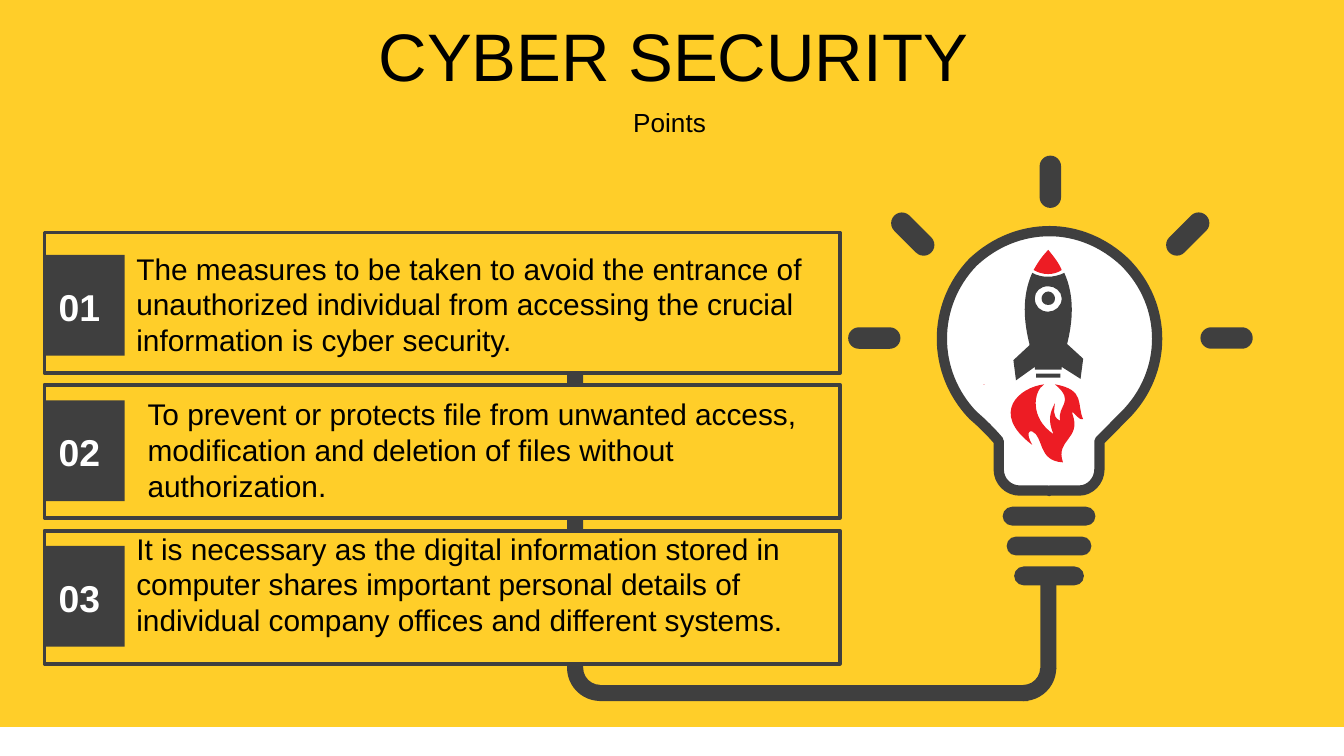
import math
from dataclasses import dataclass

import lxml.etree
import pptx
import pptx.dml.color
import pptx.enum.shapes
import pptx.enum.text
import pptx.oxml.ns
import pptx.util

Pt = pptx.util.Pt
qn = pptx.oxml.ns.qn
Shape = pptx.enum.shapes.MSO_SHAPE
Align = pptx.enum.text.PP_ALIGN
Anchor = pptx.enum.text.MSO_ANCHOR
AutoSize = pptx.enum.text.MSO_AUTO_SIZE

YELLOW, DARK, WHITE, RED, BLACK = "FFCE29", "3F3F3F", "FFFFFF", "ED1C24", "000000"
PATH_TAGS = {"M": "a:moveTo", "L": "a:lnTo", "C": "a:cubicBezTo", "Z": "a:close"}


@dataclass
class Card:
    number: str
    top: float
    height: float
    text_left: float
    text_top: float
    text: str


@dataclass
class Ray:
    center_x: float
    center_y: float
    rotation: float


@dataclass
class Outline:
    """Path on the page in points: M move, L line, C cubic curve, Z close."""
    left: float
    top: float
    width: float
    height: float
    fill: str
    commands: str
    rotation: float = 0
    line: str | None = None


BULB = Outline(499, 126, 126, 126, WHITE, """M 562.3 123.8
C 576.7 123.8 591.1 129.6 602.6 140.4 C 625.7 163.4 625.7 199.4 602.6 222.5
L 589 236.2 L 589 251.3 C 589 257.8 583.9 262.8 578.2 262.8 L 562.3 262.8
L 562 263.1 L 561.6 262.8 L 546.5 262.8
C 540 262.8 535 257.8 535 251.3 L 535 236.2 C 530.6 231.1 526.3 226.8 521.3 222.5
C 499 199.4 499 163.4 521.3 140.4 C 532.8 129.6 547.2 123.8 562.3 123.8 Z""", 135, DARK)
ROCKET = Outline(542.9, 146.2, 37.4, 57.6, DARK, """M 555.1 200.2 L 568.1 200.2
C 568.1 200.9 568.1 201.6 568.1 202.3 L 555.1 202.3 Z
M 561.6 156.2 C 563.8 156.2 565.2 158.4 565.2 159.8 C 565.2 162 563.8 163.4 561.6 163.4
C 559.4 163.4 558 162 558 159.8 C 558 158.4 559.4 156.2 561.6 156.2 Z
M 561.6 153.4 C 557.3 153.4 554.4 156.2 554.4 159.8 C 554.4 164.2 557.3 167 561.6 167
C 565.2 167 568.8 164.2 568.8 159.8 C 568.8 156.2 565.2 153.4 561.6 153.4 Z
M 553 146.2 C 558 149 564.5 149 570.2 146.2 C 576 159.1 574.6 172.8 571.7 184.3
L 580.3 192.2 L 578.9 203 L 568.8 196.6 L 568.8 198 L 554.4 198
C 554.4 197.3 554.4 197.3 554.4 196.6 L 544.3 203.8 L 542.9 193 L 551.5 185
L 551.5 184.3 C 548.6 172.8 547.2 159.1 553 146.2 Z""")
NOSE = Outline(553.7, 133.9, 15.1, 12.2, RED, """M 561.6 133.9
C 564.5 137.5 567.4 141.1 568.8 144.7 C 564.5 147.6 558.7 147.6 553.7 144.7
C 555.8 141.1 558 137.5 561.6 133.9 Z""")
FLAME = Outline(527, 205.9, 53.3, 41.8, RED, """M 559.4 205.9
C 553.7 209.5 551.5 223.9 564.5 232.6
C 560.9 224.6 563 220.3 565.2 216 C 565.2 218.2 563 223.2 568.1 225.4
C 565.9 217.4 576.7 215.3 565.2 205.9 C 581.8 208.8 576.7 216.7 580.3 224.6
C 577.4 225.4 573.8 218.2 574.6 221.8 C 579.6 235.4 565.2 235.4 569.5 247.7
C 555.8 247 559.4 234 553 231.1 C 551.5 230.4 549.4 231.8 553 238.3
C 529.9 221 546.5 207.4 559.4 205.9 Z
M 527 205.9 L 527.6 205.9 L 527 206.2 Z""")
CARDS = [
    Card("01", 124.6, 75.3, 66, 130.5,
         "The measures to be taken to avoid the entrance of unauthorized individual "
         "from accessing the crucial information is cyber security."),
    Card("02", 206.2, 71.2, 72, 208.5,
         "To prevent or protects file from unwanted access, modification and deletion "
         "of files without authorization."),
    Card("03", 284.4, 71.2, 66, 280.5,
         "It is necessary as the digital information stored in computer shares important "
         "personal details of individual company offices and different systems."),
]
RAYS = [Ray(636.3, 125.4, 45), Ray(489, 125.4, 315), Ray(562.7, 97.4, 0),
        Ray(657.1, 181.1, 90), Ray(468.4, 181.1, 270)]
RING_WIDTHS = [49.7, 45.4, 37.4]


def color(value: str) -> pptx.dml.color.RGBColor:
    return pptx.dml.color.RGBColor.from_string(value)


def paint(shape, fill: str, line: str | None = None, line_width: float = 0) -> None:
    shape.shadow.inherit = False
    shape.fill.solid()
    shape.fill.fore_color.rgb = color(fill)
    if line:
        shape.line.color.rgb = color(line)
        shape.line.width = Pt(line_width)
    else:
        shape.line.fill.background()


def add_block(page, kind, left: float, top: float, width: float, height: float,
              fill: str = DARK, line: str | None = None, line_width: float = 0):
    shape = page.shapes.add_shape(kind, Pt(left), Pt(top), Pt(width), Pt(height))
    paint(shape, fill, line, line_width)
    return shape


def add_pill(page, left: float, top: float, width: float, height: float,
             rotation: float = 0) -> None:
    pill = add_block(page, Shape.ROUNDED_RECTANGLE, left, top, width, height)
    pill.adjustments[0] = 0.5
    pill.rotation = rotation


def add_elbow(page, left: float, top: float, rotation: float) -> None:
    """Draw a quarter bend of the cable."""
    elbow = add_block(page, Shape.BLOCK_ARC, left, top, 35.6, 35.6)
    for index, value in enumerate((54.318, 108.171, 0.243)):
        elbow.adjustments[index] = value
    elbow.rotation = rotation


def add_outline(page, outline: Outline) -> None:
    """Open a freeform of the right size, then fill its path with true curves."""
    right, bottom = outline.left + outline.width, outline.top + outline.height
    builder = page.shapes.build_freeform(Pt(outline.left), Pt(outline.top))
    builder.add_line_segments([(Pt(right), Pt(outline.top)), (Pt(right), Pt(bottom))])
    shape = builder.convert_to_shape()
    shape.rotation = outline.rotation
    paint(shape, outline.fill, outline.line, 5.5)

    path = next(shape.element.iter(qn("a:path")))
    for child in list(path):
        path.remove(child)
    turn = math.radians(-outline.rotation)
    tokens = outline.commands.split()
    while tokens:
        command = tokens.pop(0)
        node = lxml.etree.SubElement(path, qn(PATH_TAGS[command]))
        for _ in range({"Z": 0, "C": 3}.get(command, 1)):
            x = float(tokens.pop(0)) - outline.left - outline.width / 2
            y = float(tokens.pop(0)) - outline.top - outline.height / 2
            local_x = x * math.cos(turn) - y * math.sin(turn) + outline.width / 2
            local_y = x * math.sin(turn) + y * math.cos(turn) + outline.height / 2
            lxml.etree.SubElement(node, qn("a:pt"), x=str(int(Pt(local_x))),
                                  y=str(int(Pt(local_y))))


def write(box, text: str, *, size: float, fill: str = BLACK, bold: bool = False,
          align=Align.LEFT, anchor=Anchor.TOP, inset: float = 3.6,
          auto_size=AutoSize.NONE) -> None:
    frame = box.text_frame
    frame.word_wrap = True
    frame.auto_size = auto_size
    frame.vertical_anchor = anchor
    frame.margin_left = frame.margin_right = Pt(7.2)
    frame.margin_top = frame.margin_bottom = Pt(inset)
    para = frame.paragraphs[0]
    para.alignment = align
    para.space_before = Pt(0)
    span = para.add_run()
    span.text = text
    span.font.name = "Arial"
    span.font.size = Pt(size)
    span.font.bold = bold
    span.font.color.rgb = color(fill)


def place(box, left: float, top: float, width: float, height: float) -> None:
    box.left, box.top, box.width, box.height = Pt(left), Pt(top), Pt(width), Pt(height)


def add_card(page, card: Card, badge_top: float) -> None:
    add_block(page, Shape.RECTANGLE, 23.8, card.top, 426.2, card.height, YELLOW, DARK, 2)
    add_block(page, Shape.RECTANGLE, 23.8, badge_top, 43, 54)
    label = page.shapes.add_textbox(Pt(24.1), Pt(badge_top + 12), Pt(36.7), Pt(31.7))
    write(label, card.number, size=20, fill=WHITE, bold=True, align=Align.RIGHT)


def add_cable(page) -> None:
    add_block(page, Shape.RECTANGLE, 303.8, 139.7, 8.6, 218.2)
    add_elbow(page, 303.8, 340, 0)
    add_block(page, Shape.RECTANGLE, 321.1, 367, 229.7, 8.6)
    add_elbow(page, 530.3, 340, 270)
    add_block(page, Shape.RECTANGLE, 557.3, 313.2, 8.6, 45.4)


def add_bulb(page) -> None:
    add_outline(page, BULB)
    for index, width in enumerate(RING_WIDTHS):
        add_pill(page, 562 - width / 2, 271.5 + 16 * index, width, 10.1)
    for ray in RAYS:
        add_pill(page, ray.center_x - 5.75, ray.center_y - 14, 11.5, 28, ray.rotation)
    for outline in (ROCKET, NOSE, FLAME):
        add_outline(page, outline)


def main() -> None:
    deck = pptx.Presentation()
    deck.slide_width, deck.slide_height = Pt(720), Pt(405)
    page = deck.slides.add_slide(deck.slide_layouts[0])
    page.background.fill.solid()
    page.background.fill.fore_color.rgb = color(YELLOW)

    title, subtitle = page.placeholders
    place(title, 1.6, 6.5, 718.4, 46)
    write(title, "CYBER SECURITY", size=36, align=Align.CENTER, anchor=Anchor.MIDDLE, inset=7.2)
    place(subtitle, 0, 53.3, 721.4, 24.5)
    write(subtitle, "Points ", size=14, align=Align.CENTER, anchor=Anchor.MIDDLE, inset=7.2)

    add_block(page, Shape.RECTANGLE, 0, 389.5, 720, 15.5, WHITE)
    add_cable(page)
    for index, card in enumerate(CARDS):
        add_card(page, card, 136.5 + 78 * index)
    add_bulb(page)
    for card in CARDS:
        body = page.shapes.add_textbox(Pt(card.text_left), Pt(card.text_top), Pt(383.8), Pt(65.5))
        write(body, card.text, size=16, auto_size=AutoSize.SHAPE_TO_FIT_TEXT)
    deck.save("out.pptx")


if __name__ == "__main__":
    main()
